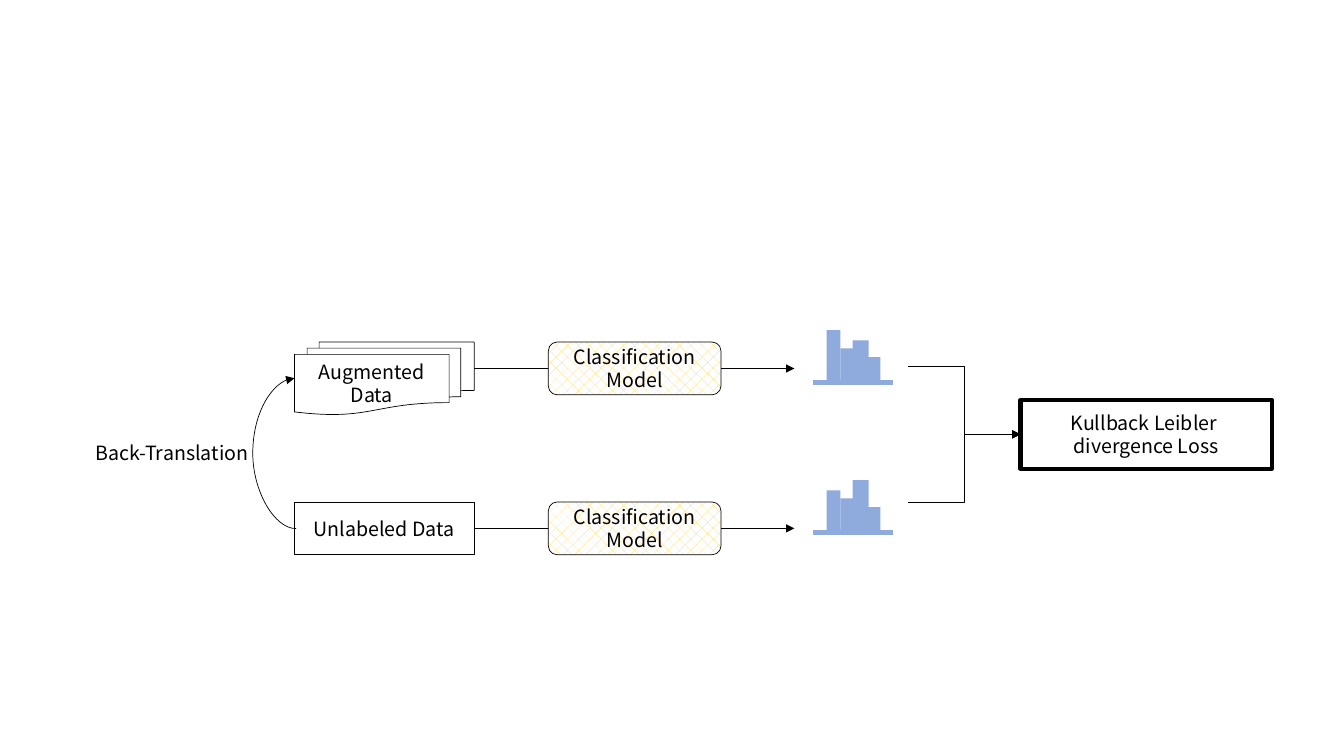
from dataclasses import dataclass

from lxml import etree
from pptx import Presentation
from pptx.dml.color import RGBColor
from pptx.enum.dml import MSO_PATTERN
from pptx.enum.shapes import MSO_CONNECTOR, MSO_SHAPE
from pptx.enum.text import MSO_ANCHOR, PP_ALIGN
from pptx.oxml.ns import qn
from pptx.util import Cm, Pt

STRAIGHT, ELBOW, CURVE = MSO_CONNECTOR.STRAIGHT, MSO_CONNECTOR.ELBOW, MSO_CONNECTOR.CURVE
PROCESS = MSO_SHAPE.FLOWCHART_PROCESS
DOCUMENTS = MSO_SHAPE.FLOWCHART_MULTIDOCUMENT
ROUNDED, RECTANGLE = MSO_SHAPE.ROUNDED_RECTANGLE, MSO_SHAPE.RECTANGLE
HATCH = MSO_PATTERN.PERCENT_25
MIDDLE, CENTER = MSO_ANCHOR.MIDDLE, PP_ALIGN.CENTER
RIGHT_SIDE = 3


@dataclass(frozen=True)
class Theme:
    font: str = "Noto Sans CJK KR"
    size: float = 14
    leading: float = 16.6
    ink: RGBColor = RGBColor(0x00, 0x00, 0x00)
    paper: RGBColor = RGBColor(0xFF, 0xFF, 0xFF)
    hatch: RGBColor = RGBColor(0xFF, 0xD9, 0x66)
    bars: RGBColor = RGBColor(0x8F, 0xAA, 0xDC)
    thin: float = 0.5
    thick: float = 3


@dataclass(frozen=True)
class Box:
    kind: MSO_SHAPE
    left: float
    top: float
    width: float
    height: float
    text: str
    line_width: float
    hatched: bool = False


@dataclass(frozen=True)
class Histogram:
    base: float
    heights: tuple[float, ...]


THEME = Theme()

# Flow rows: data box, model box and histogram
DATA_LEFT, DATA_WIDTH = 7.42, 4.53
DATA_RIGHT = DATA_LEFT + DATA_WIDTH
ROW_TOPS = (8.62, 12.65)
ROW_HEIGHT = 1.33
ARROW_END = 20.02
MODELS = [Box(ROUNDED, 13.82, top, 4.35, ROW_HEIGHT, "Classification\nModel", THEME.thin, True)
          for top in ROW_TOPS]
AUGMENTED = Box(DOCUMENTS, DATA_LEFT, ROW_TOPS[0], DATA_WIDTH, 1.83, "Augmented Data", THEME.thin)
UNLABELED = Box(PROCESS, DATA_LEFT, ROW_TOPS[1], DATA_WIDTH, ROW_HEIGHT, "Unlabeled Data", THEME.thin)
LOSS = Box(PROCESS, 25.72, 10.08, 6.33, 1.73, "Kullback Leibler \ndivergence Loss", THEME.thick)

# Bars as (left, width); each histogram gives its own heights
BAR_SLOTS = ((20.83, 0.35), (21.18, 0.35), (21.49, 0.4), (21.84, 0.35))
AXIS = (20.48, 22.5)
HISTOGRAMS = (Histogram(9.64, (1.32, 0.86, 1.06, 0.64)),
              Histogram(13.42, (1.06, 0.86, 1.32, 0.64)))

# Branches that merge into the loss
BRANCH_LEFT, BRANCH_TOPS = 22.89, (9.23, 12.66)

# Back-translation curve: start at the lower right, end at the upper left
CURVE_START, CURVE_END = (7.46, 13.32), (7.42, 9.53)
CURVE_REACH = 1.09


def write_text(shape, text: str) -> None:
    frame = shape.text_frame
    frame.word_wrap = True
    frame.text = text
    for para in frame.paragraphs:
        para.alignment = CENTER
        para.line_spacing = Pt(THEME.leading)
        for span in para.runs:
            span.font.name = THEME.font
            span.font.size = Pt(THEME.size)
            span.font.color.rgb = THEME.ink


def draw_box(shapes, box: Box):
    shape = shapes.add_shape(box.kind, Cm(box.left), Cm(box.top), Cm(box.width), Cm(box.height))
    shape.shadow.inherit = False
    if box.hatched:
        shape.fill.patterned()
        shape.fill.pattern = HATCH
        shape.fill.fore_color.rgb = THEME.hatch
        shape.fill.back_color.rgb = THEME.paper
    else:
        shape.fill.solid()
        shape.fill.fore_color.rgb = THEME.paper
    shape.line.color.rgb = THEME.ink
    shape.line.width = Pt(box.line_width)
    shape.text_frame.vertical_anchor = MIDDLE
    write_text(shape, box.text)
    return shape


def draw_line(shapes, kind: MSO_CONNECTOR, start: tuple[float, float], end: tuple[float, float],
              color: RGBColor, width: float, arrow: bool = True):
    line = shapes.add_connector(kind, Cm(start[0]), Cm(start[1]), Cm(end[0]), Cm(end[1]))
    line.line.color.rgb = color
    line.line.width = Pt(width)
    if arrow:
        etree.SubElement(line.line._get_or_add_ln(), qn("a:tailEnd"), type="triangle")
    etree.SubElement(line._element.spPr, qn("a:effectLst"))
    return line


def draw_curve(shapes) -> None:
    # A half turn puts the arrowhead at the upper left and bends the curve outwards
    curve = draw_line(shapes, CURVE, CURVE_END, CURVE_START, THEME.ink, THEME.thin)
    curve.rotation = 180
    bend = round(CURVE_REACH / (CURVE_START[0] - CURVE_END[0]) * 100000)
    guides = curve._element.spPr.find(qn("a:prstGeom")).get_or_add_avLst()
    etree.SubElement(guides, qn("a:gd"), name="adj1", fmla=f"val {bend}")


def draw_histogram(shapes, histogram: Histogram) -> None:
    group = shapes.add_group_shape()
    for (left, width), height in zip(BAR_SLOTS, histogram.heights):
        bar = group.shapes.add_shape(RECTANGLE, Cm(left), Cm(histogram.base - height),
                                     Cm(width), Cm(height))
        bar.shadow.inherit = False
        bar.fill.solid()
        bar.fill.fore_color.rgb = THEME.bars
        bar.line.fill.background()
    draw_line(group.shapes, STRAIGHT, (AXIS[0], histogram.base), (AXIS[1], histogram.base),
              THEME.bars, THEME.thick, arrow=False)


def main() -> None:
    deck = Presentation()
    deck.slide_width, deck.slide_height = Cm(33.87), Cm(19.05)
    page = deck.slides.add_slide(deck.slide_layouts[6])
    shapes = page.shapes

    # Data and loss boxes
    draw_box(shapes, LOSS)
    unlabeled = draw_box(shapes, UNLABELED)
    draw_box(shapes, AUGMENTED)

    # Arrows run behind the model boxes
    arrows = []
    for top in ROW_TOPS:
        middle = top + ROW_HEIGHT / 2
        arrows.append(draw_line(shapes, STRAIGHT, (DATA_RIGHT, middle), (ARROW_END, middle),
                                THEME.ink, THEME.thin))
    arrows[1].begin_connect(unlabeled, RIGHT_SIDE)
    for model in MODELS:
        draw_box(shapes, model)

    # Back-translation
    draw_curve(shapes)
    label = shapes.add_textbox(Cm(2.01), Cm(11), Cm(4.65), Cm(0.86))
    write_text(label, "Back-Translation")

    # Predicted distributions and their merge
    for histogram in HISTOGRAMS:
        draw_histogram(shapes, histogram)
    for top in BRANCH_TOPS:
        draw_line(shapes, ELBOW, (BRANCH_LEFT, top), (LOSS.left, LOSS.top + LOSS.height / 2),
                  THEME.ink, THEME.thin)

    deck.save("out.pptx")


if __name__ == "__main__":
    main()
